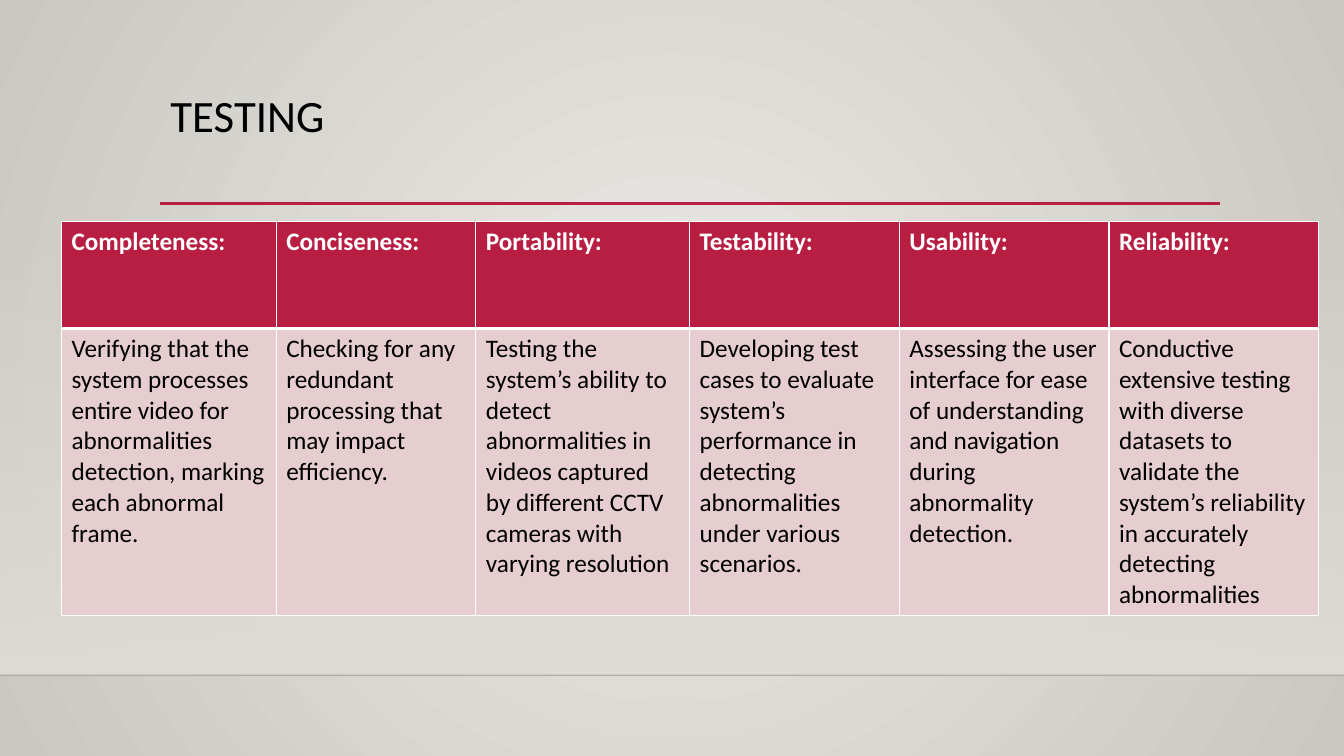
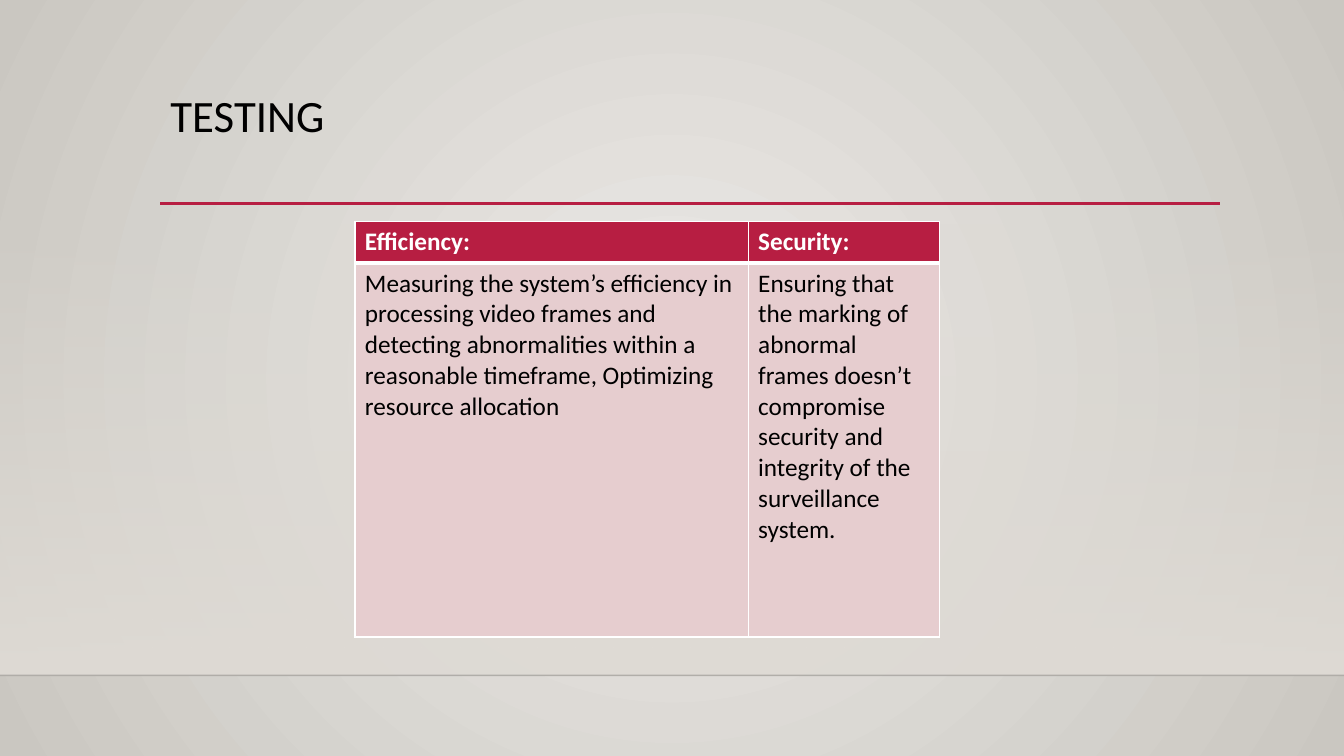
from pptx import Presentation
from pptx.dml.color import RGBColor
from pptx.enum.shapes import MSO_CONNECTOR as CONNECTOR, MSO_SHAPE as SHAPE
from pptx.enum.text import MSO_ANCHOR as ANCHOR, MSO_AUTO_SIZE as AUTO_SIZE, PP_ALIGN as ALIGN
from pptx.oxml.ns import qn
from pptx.util import Inches, Pt
from lxml.etree import SubElement

CRIMSON = RGBColor(0xB7, 0x1E, 0x42)
PINK = RGBColor(0xE6, 0xCD, 0xCF)
WHITE = RGBColor(0xFF, 0xFF, 0xFF)
BLACK = RGBColor(0x00, 0x00, 0x00)
SAND = RGBColor(0xDF, 0xDB, 0xD5)
GLOW = RGBColor(0xEC, 0xEA, 0xE7)
EDGE = RGBColor(0xCA, 0xC7, 0xC1)

TITLE_FONT = {"name": "Calibri", "size": Pt(32), "bold": False}
HEADER_FONT = {"name": "Calibri", "size": Pt(18), "bold": True}
BODY_FONT = {"name": "Calibri", "size": Pt(18), "bold": False}

TABLES = [
    {
        "left": 0.61,
        "columns": [2.13, 1.98, 2.12, 2.08, 2.08, 2.08],
        "rows": [1.06, 2.53],
        "texts": {
            "Completeness:": "Verifying that the system processes entire video for "
                             "abnormalities detection, marking each abnormal frame.",
            "Conciseness:": "Checking for any redundant processing that may impact efficiency.",
            "Portability:": "Testing the system’s ability to detect abnormalities in videos "
                            "captured by different CCTV cameras with varying resolution",
            "Testability:": "Developing test cases to evaluate system’s performance in "
                            "detecting abnormalities under various scenarios.",
            "Usability:": "Assessing the user interface for ease of understanding and "
                          "navigation during abnormality detection.",
            "Reliability:": "Conductive extensive testing with diverse datasets to validate "
                            "the system’s reliability in accurately detecting abnormalities",
        },
    },
    {
        "left": 3.52,
        "columns": [3.9, 1.9],
        "rows": [0.41, 3.71],
        "texts": {
            "Efficiency:": "Measuring the system’s efficiency in processing video frames and "
                           "detecting abnormalities within a reasonable timeframe, "
                           "Optimizing resource allocation",
            "Security:": "Ensuring that the marking of abnormal frames doesn’t compromise "
                         "security and integrity of the surveillance system.",
        },
    },
]


def write_text(frame, text, font, color):
    para = frame.paragraphs[0]
    para.alignment = ALIGN.LEFT
    span = para.add_run()
    span.text = text
    for name, value in font.items():
        setattr(span.font, name, value)
    span.font.color.rgb = color
    return para


def set_borders(cell, widths):
    properties = cell._tc.get_or_add_tcPr()
    for side, width in widths.items():
        line = SubElement(properties, qn(f"a:ln{side}"), w=str(Pt(width)))
        fill = SubElement(line, qn("a:solidFill"))
        SubElement(fill, qn("a:srgbClr"), val=str(WHITE))


deck = Presentation()
deck.slide_width, deck.slide_height = Inches(13.33), Inches(7.5)

# Shared layout: title place and radial background
layout = deck.slide_layouts.get_by_name("Title Only")
for holder in list(layout.placeholders):
    if holder.placeholder_format.idx == 0:
        holder.left, holder.top = Inches(1.59), Inches(0.88)
        holder.width, holder.height = Inches(10.5), Inches(1.15)
    else:
        holder.element.getparent().remove(holder.element)

backdrop = layout.background.fill
backdrop.gradient()
for stop, color in zip(backdrop.gradient_stops, (GLOW, EDGE)):
    stop.color.rgb = color
gradient = layout.element.find(".//" + qn("a:gradFill"))
gradient.remove(gradient.find(qn("a:lin")))
radial = SubElement(gradient, qn("a:path"), path="circle")
SubElement(radial, qn("a:fillToRect"), {side: "50000" for side in "ltrb"})

pages = [deck.slides.add_slide(layout) for _ in TABLES]

# Shared decoration: drawn on the first page, then moved to the layout
shapes = pages[0].shapes
band = shapes.add_shape(SHAPE.RECTANGLE, 0, Inches(2.21), deck.slide_width, Inches(4.49))
band.shadow.inherit = False
band.line.fill.background()
band.fill.gradient()
band.fill.gradient_angle = 270
for stop in band.fill.gradient_stops:
    stop.color.rgb = SAND
SubElement(band.element.find(".//" + qn("a:srgbClr")), qn("a:alpha"), val="0")
decoration = [band]

for left, right, height, color, width, opacity in (
    (0, 13.33, 6.7, BLACK, 1, 20),
    (1.59, 12.1, 2.02, CRIMSON, 2.5, 100),
):
    rule = shapes.add_connector(CONNECTOR.STRAIGHT, Inches(left), Inches(height),
                                Inches(right), Inches(height))
    rule.line.color.rgb = color
    rule.line.width = Pt(width)
    SubElement(rule.element.find(".//" + qn("a:srgbClr")), qn("a:alpha"),
               val=str(opacity * 1000))
    SubElement(rule.element.spPr, qn("a:effectLst"))
    decoration.append(rule)

for shape in decoration:
    layout.shapes.element.append(shape.element)

# Pages: title and table
for page, data in zip(pages, TABLES):
    frame = page.shapes.title.text_frame
    frame.vertical_anchor = ANCHOR.TOP
    frame.auto_size = AUTO_SIZE.NONE
    frame.word_wrap = True
    write_text(frame, "TESTING", TITLE_FONT, BLACK).line_spacing = 0.9

    columns, rows = data["columns"], data["rows"]
    table = page.shapes.add_table(len(rows), len(columns), Inches(data["left"]), Inches(2.2),
                                  Inches(sum(columns)), Inches(sum(rows))).table
    for row, height in zip(table.rows, rows):
        row.height = Inches(height)
    for index, (width, texts) in enumerate(zip(columns, data["texts"].items())):
        table.columns[index].width = Inches(width)
        for number, (text, font, color, fill, top, bottom) in enumerate((
            (texts[0], HEADER_FONT, WHITE, CRIMSON, 1, 3),
            (texts[1], BODY_FONT, BLACK, PINK, 3, 1),
        )):
            cell = table.cell(number, index)
            set_borders(cell, {"L": 1, "R": 1, "T": top, "B": bottom})
            cell.fill.solid()
            cell.fill.fore_color.rgb = fill
            write_text(cell.text_frame, text, font, color)

deck.save("out.pptx")
